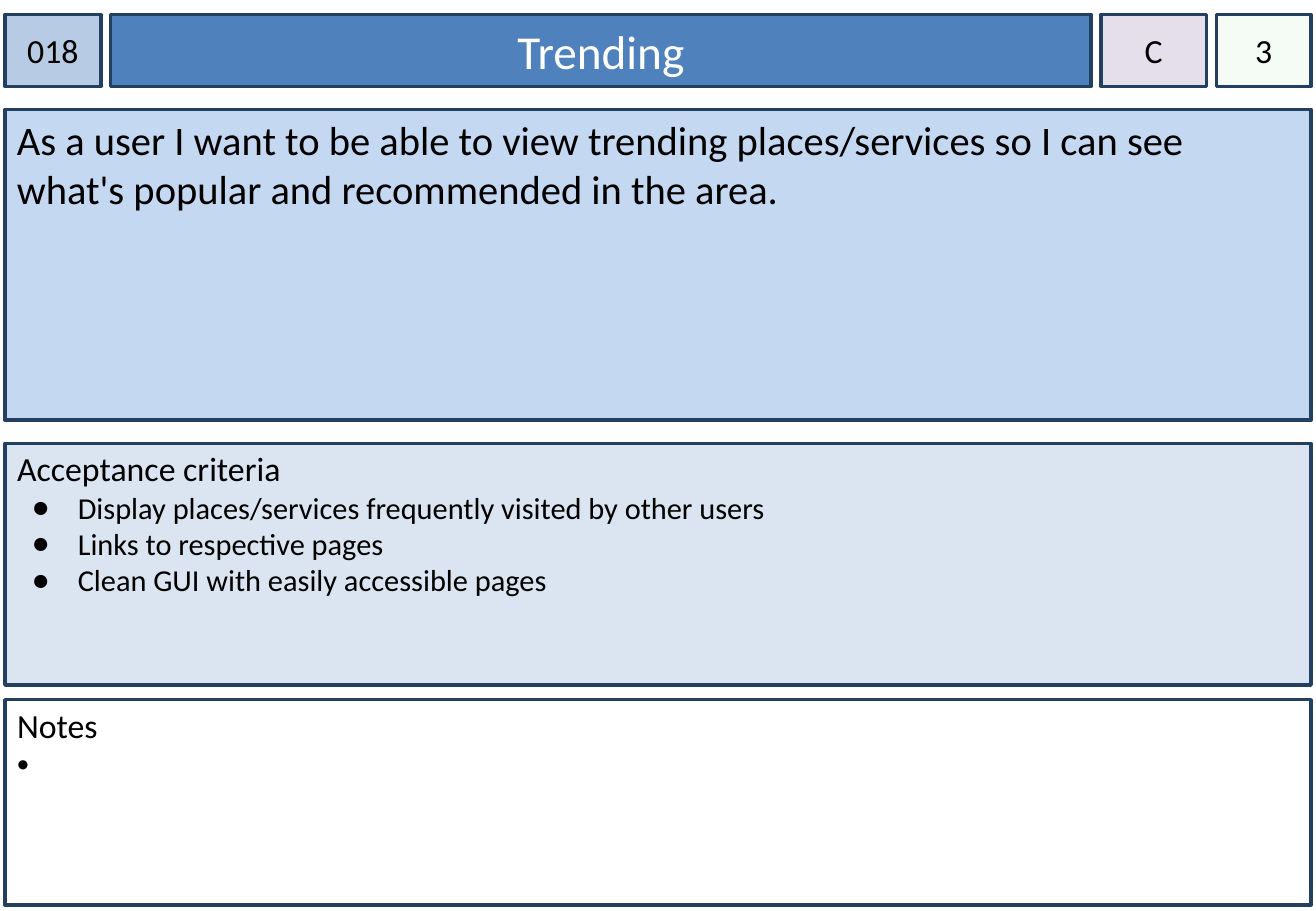
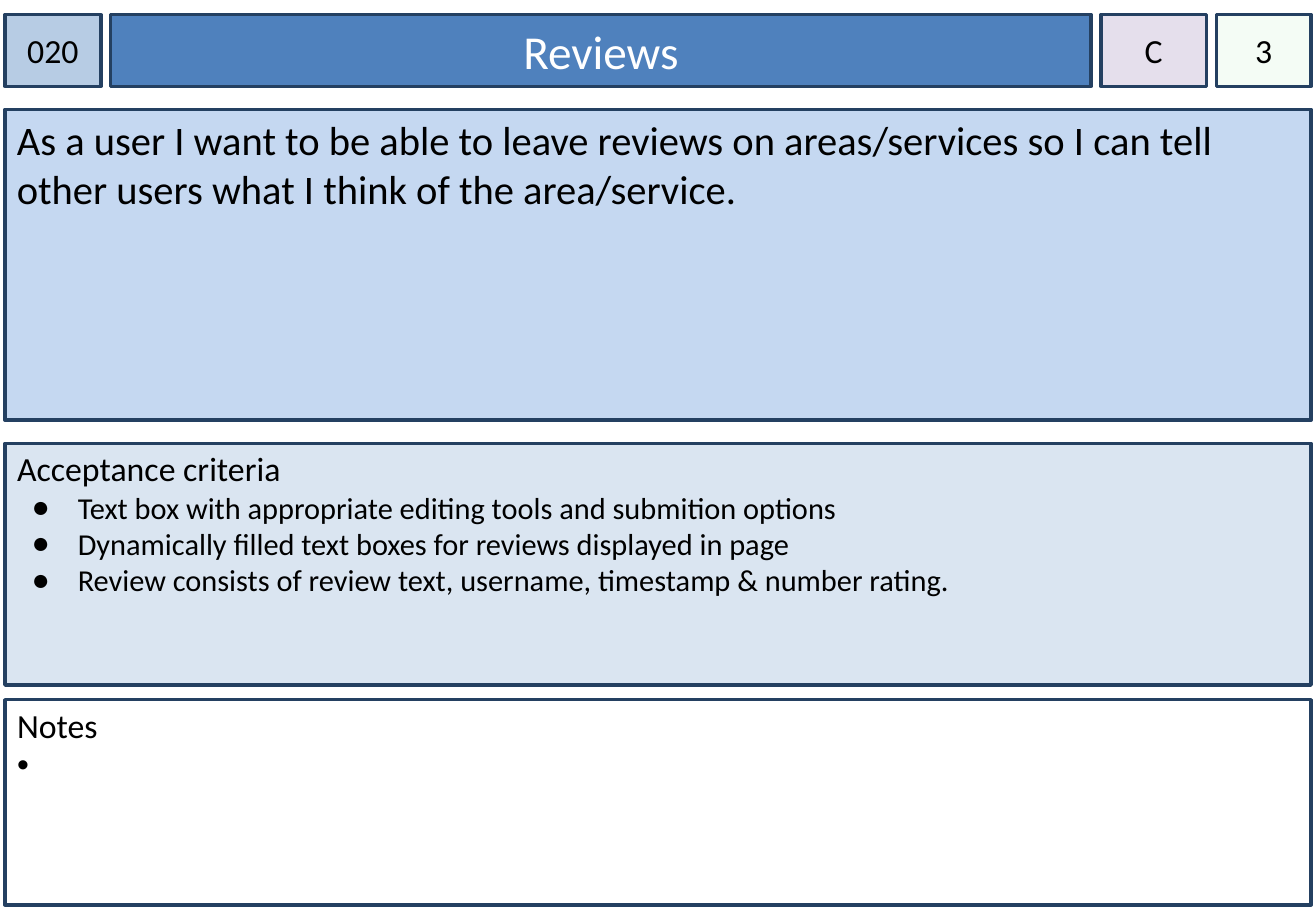
from dataclasses import dataclass
from typing import Optional

from lxml import etree
from pptx import Presentation
from pptx.dml.color import RGBColor
from pptx.enum.shapes import MSO_SHAPE
from pptx.enum.text import MSO_ANCHOR, MSO_AUTO_SIZE, PP_ALIGN
from pptx.oxml.ns import qn
from pptx.util import Inches, Pt

RECTANGLE = MSO_SHAPE.RECTANGLE
TOP, MIDDLE = MSO_ANCHOR.TOP, MSO_ANCHOR.MIDDLE
LEFT, CENTER = PP_ALIGN.LEFT, PP_ALIGN.CENTER
NO_AUTOFIT = MSO_AUTO_SIZE.NONE
TWO_CONTENT_LAYOUT = 3


# Shared look
@dataclass(frozen=True)
class Theme:
    font: str = "Calibri"
    text: str = "000000"
    title_text: str = "FFFFFF"
    border: str = "244061"
    number: str = "B7CCE4"
    title: str = "4F81BD"
    priority: str = "E5DFEC"
    estimate: str = "CCF0CD"
    story: str = "C5D8F1"
    criteria: str = "DAE5F1"
    notes: str = "FFFFFF"
    title_size: int = 28
    story_size: int = 24
    label_size: int = 20
    item_size: int = 18
    border_width: int = 2


THEME = Theme()


@dataclass(frozen=True)
class Panel:
    left: float
    top: float
    width: float
    height: float
    fill: str
    side_inset: float = 0.1
    top_inset: float = 0.05
    anchor: MSO_ANCHOR = TOP
    opacity: int = 100


@dataclass(frozen=True)
class Bullet:
    mark: str
    margin: float
    hanging: float


@dataclass(frozen=True)
class Line:
    text: str
    size: int
    color: str = THEME.text
    align: PP_ALIGN = LEFT
    bullet: Optional[Bullet] = None


@dataclass(frozen=True)
class Card:
    number: str
    title: str
    priority: str
    estimate: str
    story: str
    criteria: tuple[str, ...]


# Page grid
PAGE_WIDTH, PAGE_HEIGHT = 10.83, 7.5
MARGIN = 0.04
HEADER_TOP, HEADER_HEIGHT, HEADER_GAP = 0.12, 0.59, 0.08
HEADER_WIDTHS = (0.79, 8.07, 0.87, 0.78)
CONTENT_WIDTH = PAGE_WIDTH - 2 * MARGIN


def header_panel(column: int, fill: str, side_inset: float = 0,
                 opacity: int = 100) -> Panel:
    left = MARGIN + sum(HEADER_WIDTHS[:column]) + column * HEADER_GAP
    return Panel(left, HEADER_TOP, HEADER_WIDTHS[column], HEADER_HEIGHT, fill,
                 side_inset, anchor=MIDDLE, opacity=opacity)


def content_panel(top: float, height: float, fill: str,
                  top_inset: float = 0.05) -> Panel:
    return Panel(MARGIN, top, CONTENT_WIDTH, height, fill, top_inset=top_inset)


NUMBER = header_panel(0, THEME.number)
TITLE = header_panel(1, THEME.title, side_inset=0.1)
PRIORITY = header_panel(2, THEME.priority)
ESTIMATE = header_panel(3, THEME.estimate, opacity=20)
STORY = content_panel(0.9, 2.56, THEME.story)
CRITERIA = content_panel(3.65, 1.99, THEME.criteria, top_inset=0.04)
NOTES = content_panel(5.76, 1.69, THEME.notes, top_inset=0.04)

CRITERIA_BULLET = Bullet("●", 0.5, 0.38)
NOTES_BULLET = Bullet("•", 0.2, 0.2)

CARDS = (
    Card("018", "Trending", "C", "3",
         "As a user I want to be able to view trending places/services "
         "so I can see what's popular and recommended in the area.",
         ("Display places/services frequently visited by other users",
          "Links to respective pages",
          "Clean GUI with easily accessible pages")),
    Card("020", "Reviews", "C", "3",
         "As a user I want to be able to leave reviews on areas/services "
         "so I can tell other users what I think of the area/service.",
         ("Text box with appropriate editing tools and submition options",
          "Dynamically filled text boxes for reviews displayed in page",
          "Review consists of review text, username, timestamp & number rating.")),
)


# Drawing
def set_bullet(para, bullet: Optional[Bullet]) -> None:
    properties = para._p.get_or_add_pPr()
    margin = bullet.margin if bullet else 0
    hanging = bullet.hanging if bullet else 0
    properties.set("marL", str(Inches(margin)))
    properties.set("indent", str(-Inches(hanging)))
    if bullet is None:
        etree.SubElement(properties, qn("a:buNone"))
        return
    color = etree.SubElement(properties, qn("a:buClr"))
    etree.SubElement(color, qn("a:srgbClr"), val=THEME.text)
    etree.SubElement(properties, qn("a:buFont"), typeface="Arial")
    etree.SubElement(properties, qn("a:buChar"), char=bullet.mark)


def style_panel(box, panel: Panel) -> None:
    box.left, box.top = Inches(panel.left), Inches(panel.top)
    box.width, box.height = Inches(panel.width), Inches(panel.height)
    box.fill.solid()
    box.fill.fore_color.rgb = RGBColor.from_string(panel.fill)
    if panel.opacity < 100:
        color = box._element.spPr.find(qn("a:solidFill")).find(qn("a:srgbClr"))
        etree.SubElement(color, qn("a:alpha"), val=str(panel.opacity * 1000))
    box.line.color.rgb = RGBColor.from_string(THEME.border)
    box.line.width = Pt(THEME.border_width)


def write_lines(box, panel: Panel, lines: list[Line]) -> None:
    frame = box.text_frame
    frame.word_wrap = True
    frame.auto_size = NO_AUTOFIT
    frame.vertical_anchor = panel.anchor
    frame.margin_left = frame.margin_right = Inches(panel.side_inset)
    frame.margin_top, frame.margin_bottom = Inches(panel.top_inset), Inches(0.05)
    for index, line in enumerate(lines):
        para = frame.add_paragraph() if index else frame.paragraphs[0]
        set_bullet(para, line.bullet)
        para.alignment = line.align
        para.space_before = Pt(0)
        span = para.add_run()
        span.text = line.text
        span.font.name = THEME.font
        span.font.size = Pt(line.size)
        span.font.color.rgb = RGBColor.from_string(line.color)


def fill_panel(box, panel: Panel, lines: list[Line]) -> None:
    style_panel(box, panel)
    write_lines(box, panel, lines)


def add_panel(page, panel: Panel, line: Line) -> None:
    box = page.shapes.add_shape(RECTANGLE, 0, 0, 0, 0)
    box.shadow.inherit = False
    fill_panel(box, panel, [line])


def add_card(deck, card: Card) -> None:
    page = deck.slides.add_slide(deck.slide_layouts[TWO_CONTENT_LAYOUT])
    title, criteria, notes = page.placeholders

    # Header row
    fill_panel(title, TITLE, [
        Line(card.title, THEME.title_size, THEME.title_text, CENTER)])
    for panel, text in ((NUMBER, card.number), (PRIORITY, card.priority),
                        (ESTIMATE, card.estimate)):
        add_panel(page, panel, Line(text, THEME.label_size, align=CENTER))

    # Story, criteria and notes
    add_panel(page, STORY, Line(card.story, THEME.story_size))
    fill_panel(criteria, CRITERIA, [
        Line("Acceptance criteria", THEME.label_size),
        *(Line(item, THEME.item_size, bullet=CRITERIA_BULLET)
          for item in card.criteria)])
    fill_panel(notes, NOTES, [
        Line("Notes", THEME.label_size),
        Line(" ", THEME.label_size, bullet=NOTES_BULLET)])


def main() -> None:
    deck = Presentation()
    deck.slide_width, deck.slide_height = Inches(PAGE_WIDTH), Inches(PAGE_HEIGHT)
    for card in CARDS:
        add_card(deck, card)
    deck.save("out.pptx")


if __name__ == "__main__":
    main()
